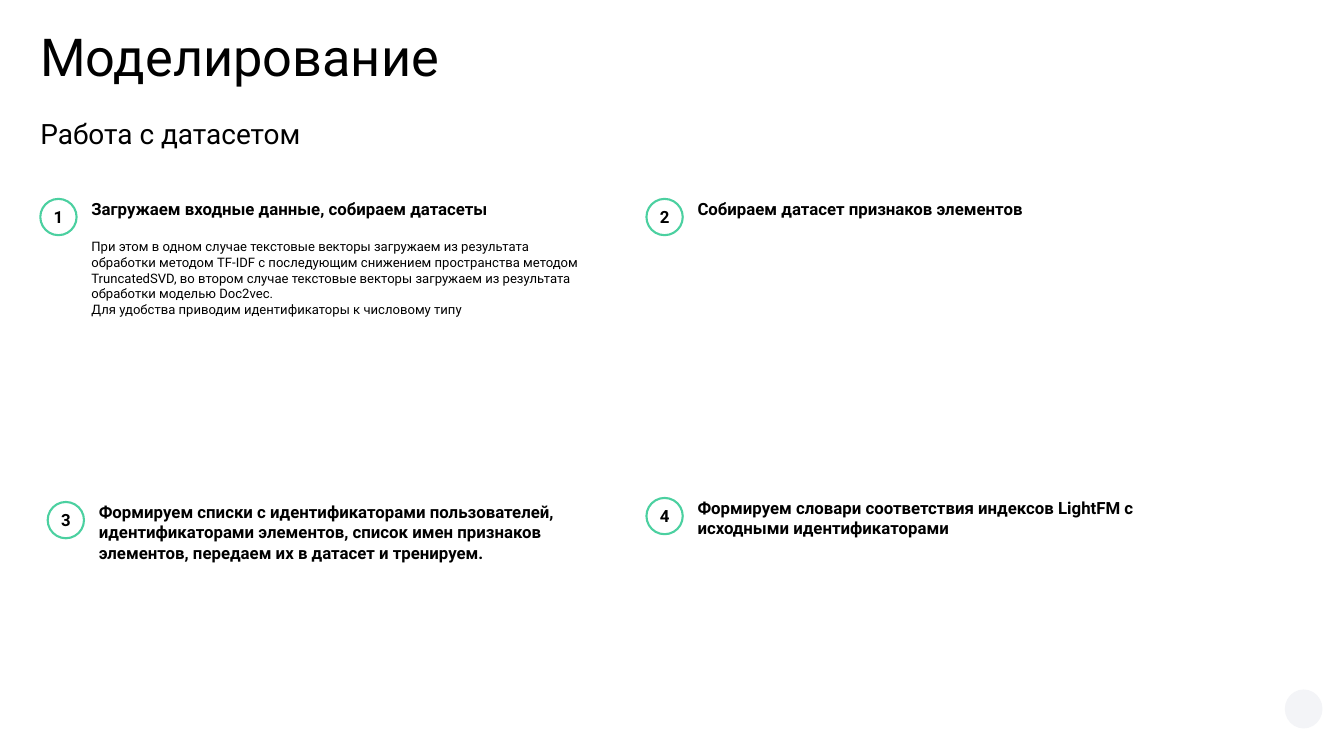
from pptx import Presentation
from pptx.dml.color import RGBColor
from pptx.enum.shapes import MSO_SHAPE as Shape
from pptx.enum.text import MSO_ANCHOR as Anchor, MSO_AUTO_SIZE as AutoSize, PP_ALIGN as Align
from pptx.util import Inches, Pt

BLACK = RGBColor(0x00, 0x00, 0x00)
GREEN = RGBColor(0x4B, 0xD0, 0xA0)
PALE = RGBColor(0xF3, 0xF4, 0xF7)

LEFT = 0.6
BADGE = 0.54
TEXT_INDENT = 0.76

# box (left, top, width, height), heading, details
STEPS = [
    ((LEFT, 2.96, 8.23, 4.71), "Загружаем входные данные, собираем датасеты", [
        "При этом в одном случае текстовые векторы загружаем из результата обработки "
        "методом TF-IDF с последующим снижением пространства методом TruncatedSVD, "
        "во втором случае текстовые векторы загружаем из результата обработки "
        "моделью Doc2vec.",
        "Для удобства приводим идентификаторы к числовому типу"]),
    ((9.62, 2.96, 9.3, 4.71), "Собираем датасет признаков элементов", []),
    ((0.71, 7.47, 8.25, 2.64),
     "Формируем списки с идентификаторами пользователей, идентификаторами элементов, "
     "список имен признаков элементов, передаем их в датасет и тренируем.", []),
    ((9.62, 7.41, 8.25, 2.64),
     "Формируем словари соответствия индексов LightFM с исходными идентификаторами", []),
]


def inches(*values):
    return [Inches(v) for v in values]


def set_frame(tf, anchor=Anchor.TOP, left=0, top=0, right=0, bottom=0):
    formats = {"word_wrap": True, "auto_size": AutoSize.NONE, "vertical_anchor": anchor,
               "margin_left": Inches(left), "margin_top": Inches(top),
               "margin_right": Inches(right), "margin_bottom": Inches(bottom)}
    for name, value in formats.items():
        setattr(tf, name, value)


def write(p, text, size, bold=False, align=Align.LEFT, before=0, spacing=1.0):
    for name, value in {"alignment": align, "space_before": Pt(before),
                        "line_spacing": spacing}.items():
        setattr(p, name, value)
    r = p.add_run()
    r.text = text
    for name, value in {"name": "Roboto", "size": Pt(size), "bold": bold}.items():
        setattr(r.font, name, value)
    r.font.color.rgb = BLACK


def fill_placeholder(sp, box, text, size, spacing=1.0):
    sp.left, sp.top, sp.width, sp.height = inches(*box)
    set_frame(sp.text_frame)
    write(sp.text_frame.paragraphs[0], text, size, spacing=spacing)


def add_step(s, number, box, heading, details):
    """Numbered badge at the box's left corner, heading and details beside it."""
    left, top, width, height = box
    group = s.shapes.add_group_shape()

    badge = group.shapes.add_shape(Shape.OVAL, *inches(left, top, BADGE, BADGE))
    badge.shadow.inherit = False
    badge.fill.background()
    badge.line.color.rgb = GREEN
    badge.line.width = Pt(2.25)
    set_frame(badge.text_frame, Anchor.MIDDLE, 0.1, 0.1, 0.1, 0.1)
    write(badge.text_frame.paragraphs[0], str(number), 18, True, Align.CENTER)

    tf = group.shapes.add_textbox(
        *inches(left + TEXT_INDENT, top, width - TEXT_INDENT, height)).text_frame
    set_frame(tf, right=0.1, bottom=0.1)
    write(tf.paragraphs[0], heading, 18, True)
    for i, detail in enumerate(details):
        write(tf.add_paragraph(), detail, 14, before=0 if i else 21)


def add_corner_mark(s, box):
    mark = s.shapes.add_shape(Shape.OVAL, *inches(*box))
    mark.shadow.inherit = False
    mark.fill.solid()
    mark.fill.fore_color.rgb = PALE
    mark.line.fill.background()


def main():
    prs = Presentation()
    prs.slide_width, prs.slide_height = inches(20, 11.25)
    s = prs.slides.add_slide(prs.slide_layouts[0])
    add_corner_mark(s, (19.12, 10.26, 0.56, 0.58))
    fill_placeholder(s.shapes.title, (LEFT, 0.54, 16.12, 1.62), "Моделирование", 56, 0.8)
    fill_placeholder(s.placeholders[1], (LEFT, 1.74, 10.16, 0.54), "Работа с датасетом", 30)
    for number, step in enumerate(STEPS, 1):
        add_step(s, number, *step)
    prs.save("out.pptx")


if __name__ == "__main__":
    main()
